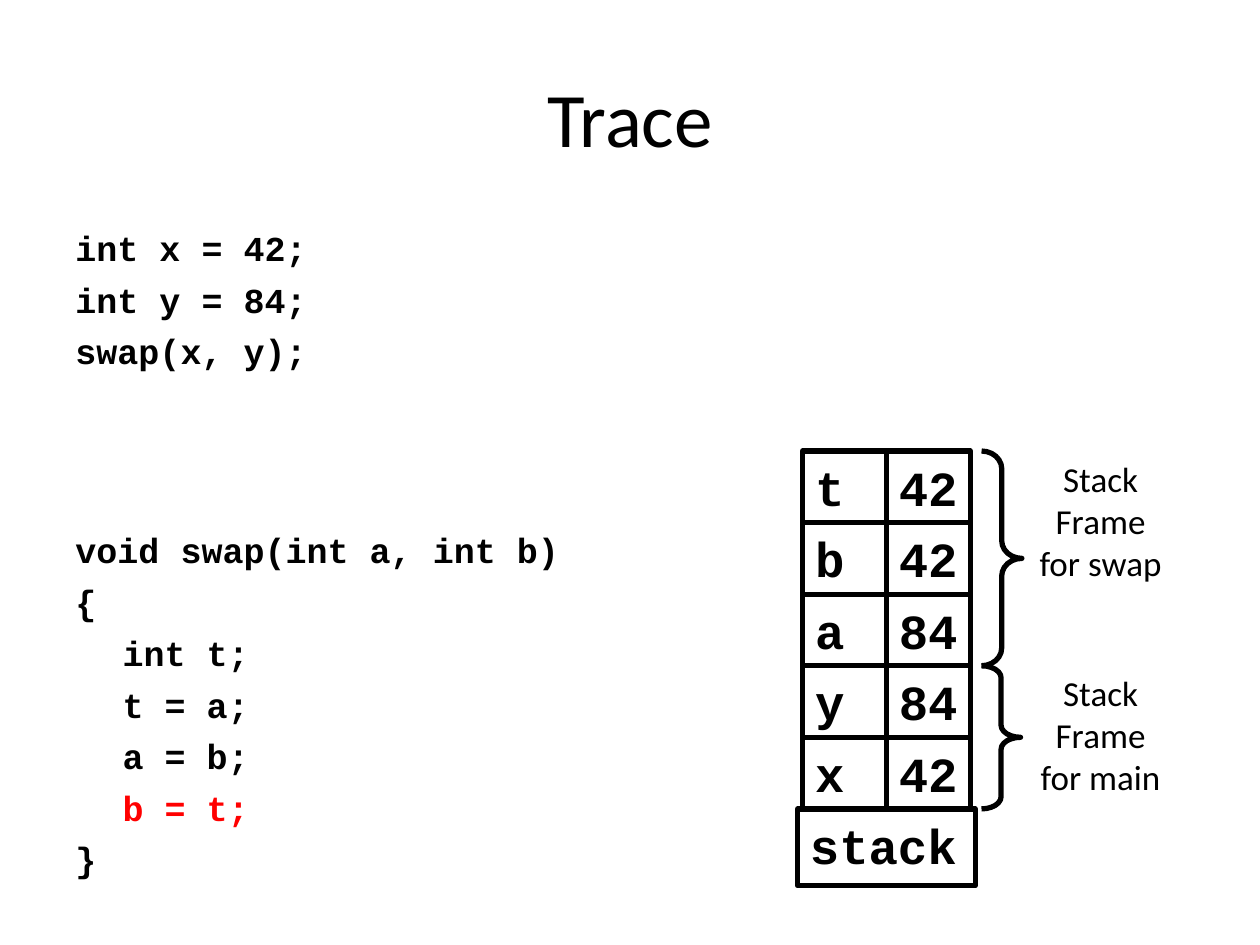
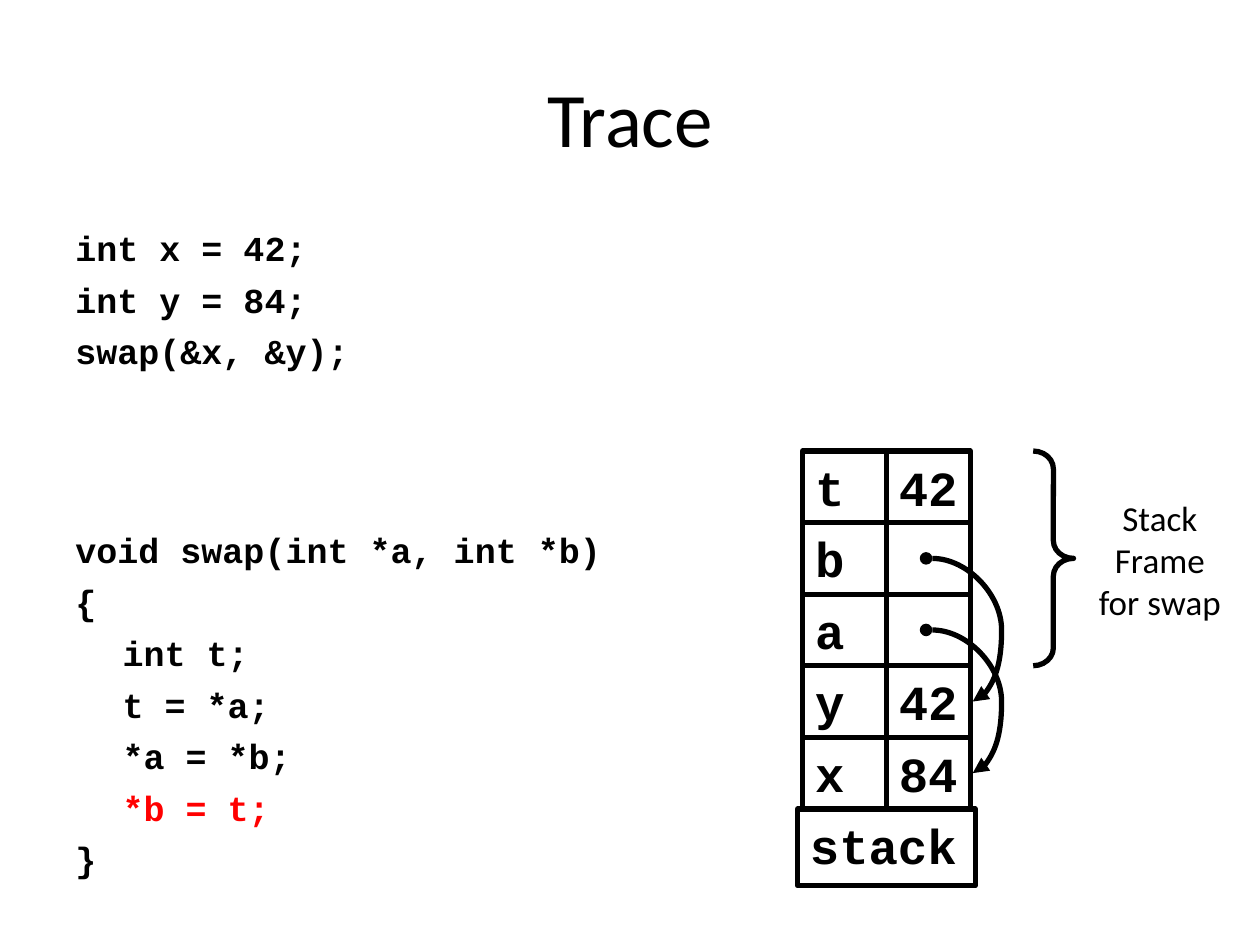
from dataclasses import dataclass

from lxml import etree
from pptx import Presentation
from pptx.dml.color import RGBColor
from pptx.enum.shapes import MSO_CONNECTOR as Connector, MSO_SHAPE as Preset
from pptx.enum.text import MSO_ANCHOR as Anchor, PP_ALIGN as Align
from pptx.oxml.ns import qn
from pptx.util import Inches, Pt


@dataclass(frozen=True)
class Theme:
    ink: RGBColor = RGBColor(0, 0, 0)
    current: RGBColor = RGBColor(0xFF, 0, 0)
    text_font: str = "Calibri"
    code_font: str = "Courier New"
    title_size: int = 44
    cell_size: int = 28
    body_size: int = 20
    line_width: int = 3
    code_spacing: float = 5.4
    cell_spacing: float = 5.6
    call_gap: float = 89.7


@dataclass(frozen=True)
class Box:
    left: float
    top: float
    width: float
    height: float

    def lengths(self):
        return [Inches(v) for v in (self.left, self.top, self.width, self.height)]


THEME = Theme()
TITLE_BOX = Box(0.5, 0.3, 9, 1.25)
STACK_BOX = Box(6.37, 3.58, 1.33, 2.84)
VARIABLES = ["t", "b", "a", "y", "x"]
ROW_HEIGHT = STACK_BOX.height / len(VARIABLES)
POINTER = None


def add_run(paragraph, text, size, font=THEME.text_font, color=THEME.ink):
    run = paragraph.add_run()
    run.text = text
    run.font.name = font
    run.font.size = Pt(size)
    run.font.bold = font == THEME.code_font
    run.font.color.rgb = color


def paragraphs(frame, texts):
    """Pair each text with its paragraph, adding paragraphs after the first."""
    for index, text in enumerate(texts):
        yield text, frame.add_paragraph() if index else frame.paragraphs[0]


def add_title(slide, text):
    title = slide.shapes.title
    title.left, title.top, title.width, title.height = TITLE_BOX.lengths()
    title.text_frame.vertical_anchor = Anchor.MIDDLE
    paragraph = title.text_frame.paragraphs[0]
    paragraph.alignment = Align.CENTER
    add_run(paragraph, text, THEME.title_size)


def add_code(slide, box, call, signature, statements):
    """Write the caller, then the function; its last statement is the current one."""
    frame = slide.shapes.add_textbox(*box.lengths()).text_frame
    frame.word_wrap = True
    lines = ["int x = 42;", "int y = 84;", call, signature, "{", *statements, "}"]
    for line, paragraph in paragraphs(frame, lines):
        gap = THEME.call_gap if line == signature else THEME.code_spacing
        paragraph.space_before = Pt(gap)
        if line in statements:
            paragraph._p.get_or_add_pPr().set("marL", str(Inches(0.375)))
        color = THEME.current if line == statements[-1] else THEME.ink
        add_run(paragraph, line, THEME.body_size, THEME.code_font, color)


def add_outline(slide, preset, box):
    shape = slide.shapes.add_shape(preset, *box.lengths())
    shape.shadow.inherit = False
    shape.fill.background()
    shape.line.color.rgb = THEME.ink
    shape.line.width = Pt(THEME.line_width)
    return shape


def add_cell(slide, box, text):
    cell = add_outline(slide, Preset.RECTANGLE, box)
    if text is POINTER:
        return
    frame = cell.text_frame
    frame.word_wrap = False
    frame.vertical_anchor = Anchor.TOP
    paragraph = frame.paragraphs[0]
    paragraph.alignment = Align.LEFT
    paragraph.space_before = Pt(THEME.cell_spacing)
    add_run(paragraph, text, THEME.cell_size, THEME.code_font)


def add_stack(slide, box, values):
    column = box.width / 2
    for row, pair in enumerate(zip(VARIABLES, values)):
        top = box.top + row * ROW_HEIGHT
        for index, text in enumerate(pair):
            left = box.left + index * column
            add_cell(slide, Box(left, top, column, ROW_HEIGHT), text)
    base = Box(box.left - 0.04, box.top + box.height, box.width + 0.08, 0.61)
    add_cell(slide, base, "stack")


def add_frame_brace(slide, box, curl, function, label_left, label_drop=0):
    """Brace the rows of one stack frame and name the function that owns it."""
    brace = add_outline(slide, Preset.RIGHT_BRACE, box)
    brace.adjustments[0] = curl
    label_box = Box(label_left, box.top + label_drop, 1.25, 1.1)
    frame = slide.shapes.add_textbox(*label_box.lengths()).text_frame
    frame.word_wrap = False
    for text, paragraph in paragraphs(frame, ["Stack", "Frame", f"for {function}"]):
        paragraph.alignment = Align.CENTER
        add_run(paragraph, text, THEME.body_size)


def add_pointer(slide, box, source, target):
    """Draw a dot in the source row and a curved arrow to the target row."""
    start, end = (box.top + (VARIABLES.index(name) + 0.5) * ROW_HEIGHT
                  for name in (source, target))
    dot_right = box.left + 1.03
    arrow = slide.shapes.add_connector(
        Connector.CURVE, Inches(dot_right), Inches(start),
        Inches(box.left + box.width + 0.02), Inches(end))
    arrow.line.color.rgb = THEME.ink
    arrow.line.width = Pt(THEME.line_width)
    properties = arrow._element.spPr
    bend = properties.find(qn("a:prstGeom")).find(qn("a:avLst"))
    etree.SubElement(bend, qn("a:gd"), name="adj1", fmla="val 171700")
    etree.SubElement(properties.find(qn("a:ln")), qn("a:tailEnd"), type="triangle")
    etree.SubElement(properties, qn("a:effectLst"))

    dot = add_outline(slide, Preset.OVAL, Box(dot_right - 0.1, start - 0.05, 0.1, 0.1))
    dot.fill.solid()
    dot.fill.fore_color.rgb = THEME.ink
    dot.line.fill.background()


def add_trace_slide(presentation, code_width, call, signature, statements, values):
    slide = presentation.slides.add_slide(presentation.slide_layouts[5])
    add_title(slide, "Trace")
    add_code(slide, Box(0.5, 1.75, code_width, 5.58), call, signature, statements)
    add_stack(slide, STACK_BOX, values)
    return slide


def main():
    presentation = Presentation()
    presentation.slide_width, presentation.slide_height = Inches(10), Inches(7.5)
    swap_height, main_height = 3 * ROW_HEIGHT, 2 * ROW_HEIGHT
    main_top = STACK_BOX.top + swap_height

    by_value = add_trace_slide(
        presentation, 4.41, "swap(x, y);", "void swap(int a, int b)",
        ["int t;", "t = a;", "a = b;", "b = t;"], ["42", "42", "84", "84", "42"])
    add_frame_brace(by_value, Box(7.79, STACK_BOX.top, 0.32, swap_height),
                    0.44, "swap", 8.11)
    add_frame_brace(by_value, Box(7.79, main_top, 0.31, main_height),
                    0.31, "main", 8.11)

    by_pointer = add_trace_slide(
        presentation, 4.8, "swap(&x, &y);", "void swap(int *a, int *b)",
        ["int t;", "t = *a;", "*a = *b;", "*b = t;"],
        ["42", POINTER, POINTER, "42", "84"])
    add_frame_brace(by_pointer, Box(8.2, STACK_BOX.top, 0.32, swap_height),
                    0.44, "swap", 8.58, 0.31)
    for source, target in [("a", "x"), ("b", "y")]:
        add_pointer(by_pointer, STACK_BOX, source, target)

    presentation.save("out.pptx")


if __name__ == "__main__":
    main()
